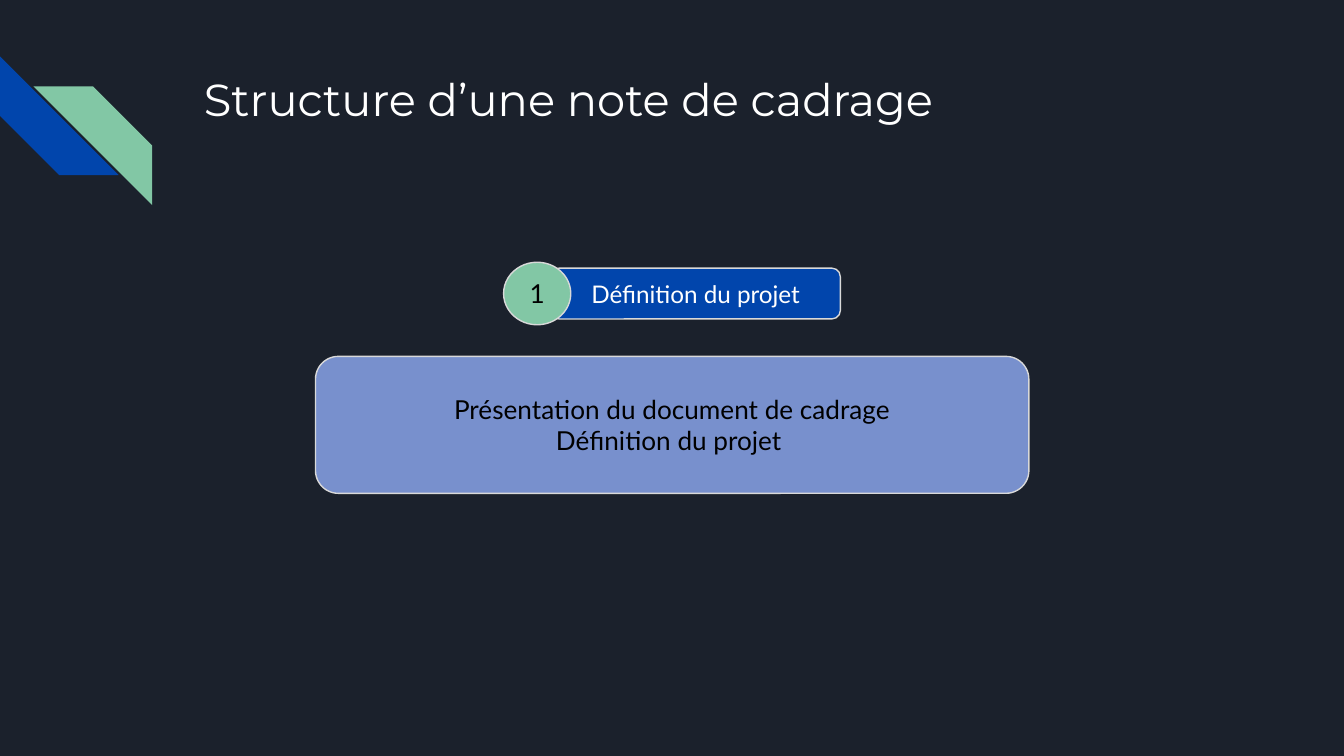
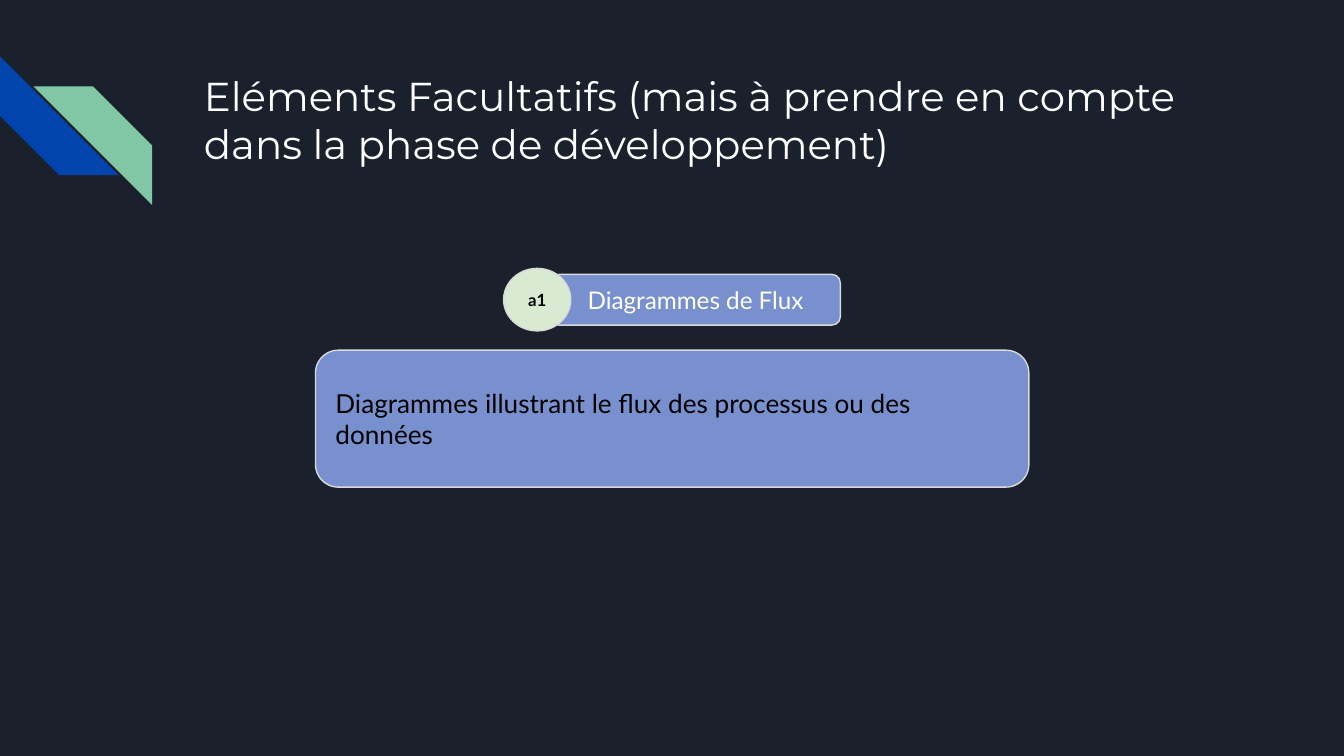
from pptx import Presentation
from pptx.dml.color import RGBColor
from pptx.enum import shapes, text
from pptx.oxml.ns import qn
from pptx.util import Pt

COLORS = {
    "night": "1B212C", "blue": "0145AC", "green": "82C7A5", "lavender": "7890CD",
    "pale": "D9EAD3", "border": "D9D9D9", "white": "FFFFFF", "black": "000000",
}
SHAPE = shapes.MSO_SHAPE
LEFT, CENTER = text.PP_ALIGN.LEFT, text.PP_ALIGN.CENTER
TOP, MIDDLE = text.MSO_ANCHOR.TOP, text.MSO_ANCHOR.MIDDLE


def rgb(name):
    return RGBColor.from_string(COLORS[name])


def write(sp, lines, size, font="Lato", color="black", bold=False,
          align=CENTER, anchor=MIDDLE, wrap=True):
    """Fill a shape with one paragraph per line."""
    tf = sp.text_frame
    tf.word_wrap = wrap
    tf.vertical_anchor = anchor
    tf.margin_left = tf.margin_right = tf.margin_top = tf.margin_bottom = Pt(7.2)
    for i, line in enumerate(lines):
        p = tf.paragraphs[0] if i == 0 else tf.add_paragraph()
        p.alignment = align
        r = p.add_run()
        r.text = line
        r.font.name, r.font.size, r.font.bold = font, Pt(size), bold
        r.font.color.rgb = rgb(color)


class Deck:
    def __init__(self):
        self.prs = Presentation()
        self.prs.slide_width, self.prs.slide_height = Pt(720), Pt(405)

    def shape(self, kind, x, y, w, h, fill, border=None, adj=None):
        sp = self.s.shapes.add_shape(kind, Pt(x), Pt(y), Pt(w), Pt(h))
        sp.shadow.inherit = False
        sp.fill.solid()
        sp.fill.fore_color.rgb = rgb(fill)
        if border:
            sp.line.color.rgb = rgb(border)
            sp.line.width = Pt(0.75)
        else:
            sp.line.fill.background()
        if adj is not None:
            sp.adjustments[0] = adj
        return sp

    def slide(self, title, size):
        self.s = self.prs.slides.add_slide(self.prs.slide_layouts[6])
        bg = self.s.background.fill
        bg.solid()
        bg.fore_color.rgb = rgb("night")
        # Corner stripes
        stripe = self.shape(SHAPE.DIAGONAL_STRIPE, 0, 30.2, 63.6, 63.6, "blue", adj=0.5)
        stripe.rotation = 270
        stripe = self.shape(SHAPE.DIAGONAL_STRIPE, 18, 46.3, 63.6, 63.6, "green", adj=0.5)
        stripe._element.spPr.find(qn("a:xfrm")).set("flipH", "1")
        # Title
        box = self.s.shapes.add_textbox(Pt(102.2), Pt(31), Pt(554.4), Pt(72))
        write(box, [title], size, font="Montserrat", color="white", align=LEFT, anchor=TOP)

    def heading(self, mid, label, fill):
        sp = self.shape(SHAPE.ROUNDED_RECTANGLE, 295, mid - 13.6, 155.2, 27.2,
                        fill, "border", 0.167)
        write(sp, [label], 13, color="white")

    def badge(self, mid, mark, fill, size, bold=False):
        sp = self.shape(SHAPE.OVAL, 269.8, mid - 16.8, 36, 33.5, fill, "border")
        write(sp, [mark], size, bold=bold, wrap=False)

    def panel(self, y, lines, align=CENTER):
        sp = self.shape(SHAPE.ROUNDED_RECTANGLE, 169, y, 382.2, 73.4,
                        "lavender", "border", 0.167)
        write(sp, lines, 14, align=align)


def main():
    deck = Deck()

    # Slide 1: project definition
    deck.slide("Structure d’une note de cadrage", 24)
    deck.heading(157.3, "Définition du projet", "blue")
    deck.badge(157.3, "1", "green", 14)
    deck.panel(190.9, ["Présentation du document de cadrage", "Définition du projet "])

    # Slide 2: optional elements
    deck.slide("Eléments Facultatifs (mais à prendre en compte "
               "dans la phase de développement)", 21.6)
    deck.heading(160.6, "Diagrammes de Flux", "lavender")
    deck.badge(160.6, "a1", "pale", 9, bold=True)
    deck.panel(187.6, ["Diagrammes illustrant le flux des processus ou des données"], LEFT)

    deck.prs.save("out.pptx")


if __name__ == "__main__":
    main()
